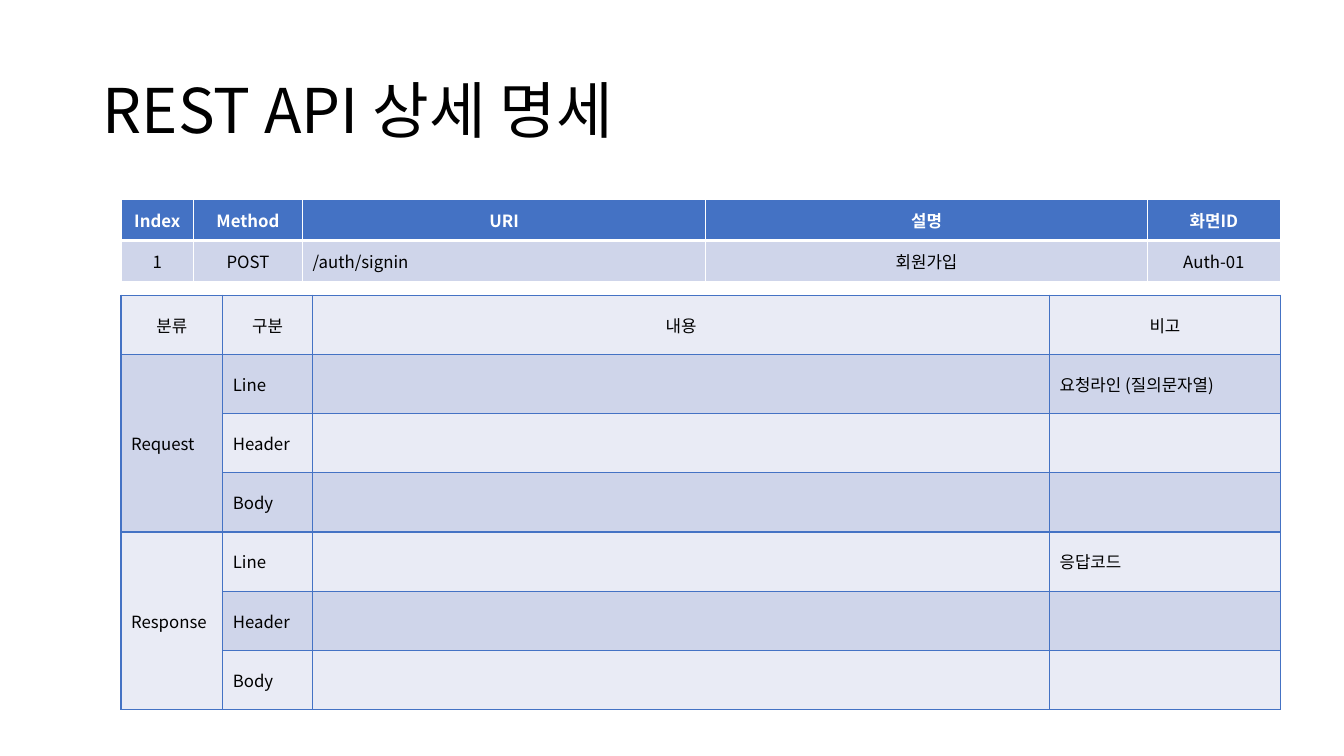
from dataclasses import dataclass

from lxml import etree
from pptx import Presentation
from pptx.dml.color import RGBColor
from pptx.enum.text import MSO_ANCHOR, PP_ALIGN
from pptx.oxml.ns import qn
from pptx.util import Inches, Pt

LEFT, CENTER = PP_ALIGN.LEFT, PP_ALIGN.CENTER
MIDDLE = MSO_ANCHOR.MIDDLE


@dataclass(frozen=True)
class Theme:
    font: str = "Noto Sans CJK KR"
    title_size: float = 44
    cell_size: float = 12
    text: str = "000000"
    white: str = "FFFFFF"
    blue: str = "4472C4"
    dark_band: str = "CFD5EA"
    light_band: str = "E9EBF5"


THEME = Theme()


@dataclass(frozen=True)
class TableSpec:
    """A table whose row fills and column alignments follow simple rules."""
    top: float
    height: float
    widths: list[float]
    rows: list[list[str]]
    fills: list[str]
    body_align: list[PP_ALIGN]
    border: str
    strong_header: bool = False
    row_span: int = 1


ENDPOINT = TableSpec(
    top=1.98, height=0.81, widths=[0.72, 1.08, 4, 4.38, 1.32],
    rows=[["Index", "Method", "URI", "설명", "화면ID"],
          ["1", "POST", "/auth/signin", "회원가입", "Auth-01"]],
    fills=[THEME.blue, THEME.dark_band],
    body_align=[CENTER, CENTER, LEFT, CENTER, CENTER],
    border=THEME.white, strong_header=True)

MESSAGES = TableSpec(
    top=2.93, height=4.11, widths=[1.01, 0.89, 7.31, 2.29],
    rows=[["분류", "구분", "내용", "비고"],
          ["Request", "Line", "", "요청라인 (질의문자열)"],
          ["", "Header", "", ""],
          ["", "Body", "", ""],
          ["Response", "Line", "", "응답코드"],
          ["", "Header", "", ""],
          ["", "Body", "", ""]],
    fills=[THEME.light_band, THEME.dark_band],
    body_align=[LEFT] * 4,
    border=THEME.blue, row_span=3)


def style_paragraph(p, size: float, color: str, bold: bool = False) -> None:
    p.font.name = THEME.font
    p.font.size = Pt(size)
    p.font.bold = bold
    p.font.color.rgb = RGBColor.from_string(color)
    # East Asian typeface for the Korean text
    props = p._p.pPr.find(qn("a:defRPr"))
    etree.SubElement(props, qn("a:ea"), typeface=THEME.font)


def set_borders(cell, color: str, widths: dict[str, float]) -> None:
    props = cell._tc.get_or_add_tcPr()
    for i, (side, width) in enumerate(widths.items()):
        line = etree.Element(qn(f"a:ln{side}"), w=str(Pt(width)))
        fill = etree.SubElement(line, qn("a:solidFill"))
        etree.SubElement(fill, qn("a:srgbClr"), val=color)
        props.insert(i, line)


def add_title(s, text: str) -> None:
    tf = s.shapes.add_textbox(Inches(0.92), Inches(0.4), Inches(11.5), Inches(1.45)).text_frame
    tf.word_wrap = True
    tf.vertical_anchor = MIDDLE
    p = tf.paragraphs[0]
    p.text = text
    p.line_spacing = 0.9
    style_paragraph(p, THEME.title_size, THEME.text)


def add_spec_table(s, spec: TableSpec) -> None:
    table = s.shapes.add_table(
        len(spec.rows), len(spec.widths), Inches(1.2), Inches(spec.top),
        Inches(sum(spec.widths)), Inches(spec.height)).table
    table.first_row = spec.strong_header
    table.horz_banding = False
    for column, width in zip(table.columns, spec.widths):
        column.width = Inches(width)

    for i, row in enumerate(spec.rows):
        header = i == 0
        strong = header and spec.strong_header
        for j, text in enumerate(row):
            cell = table.cell(i, j)
            cell.vertical_anchor = MIDDLE
            # A merged cell keeps the band of its first row
            band = i
            if j == 0 and not header:
                band = i - (i - 1) % spec.row_span
            cell.fill.solid()
            cell.fill.fore_color.rgb = RGBColor.from_string(spec.fills[band % 2])
            rule = 3 if spec.strong_header else 1
            set_borders(cell, spec.border, {
                "L": 1, "R": 1, "T": rule if i == 1 else 1, "B": rule if header else 1})
            p = cell.text_frame.paragraphs[0]
            p.text = text
            p.alignment = CENTER if header else spec.body_align[j]
            style_paragraph(p, THEME.cell_size, THEME.white if strong else THEME.text, strong)

    # Group the rows under their category
    if spec.row_span > 1:
        for start in range(1, len(spec.rows), spec.row_span):
            table.cell(start, 0).merge(table.cell(start + spec.row_span - 1, 0))


def main() -> None:
    prs = Presentation()
    prs.slide_width, prs.slide_height = Inches(13.33), Inches(7.5)
    s = prs.slides.add_slide(prs.slide_layouts[6])
    add_title(s, "REST API 상세 명세")
    for spec in (ENDPOINT, MESSAGES):
        add_spec_table(s, spec)
    prs.save("out.pptx")


if __name__ == "__main__":
    main()
